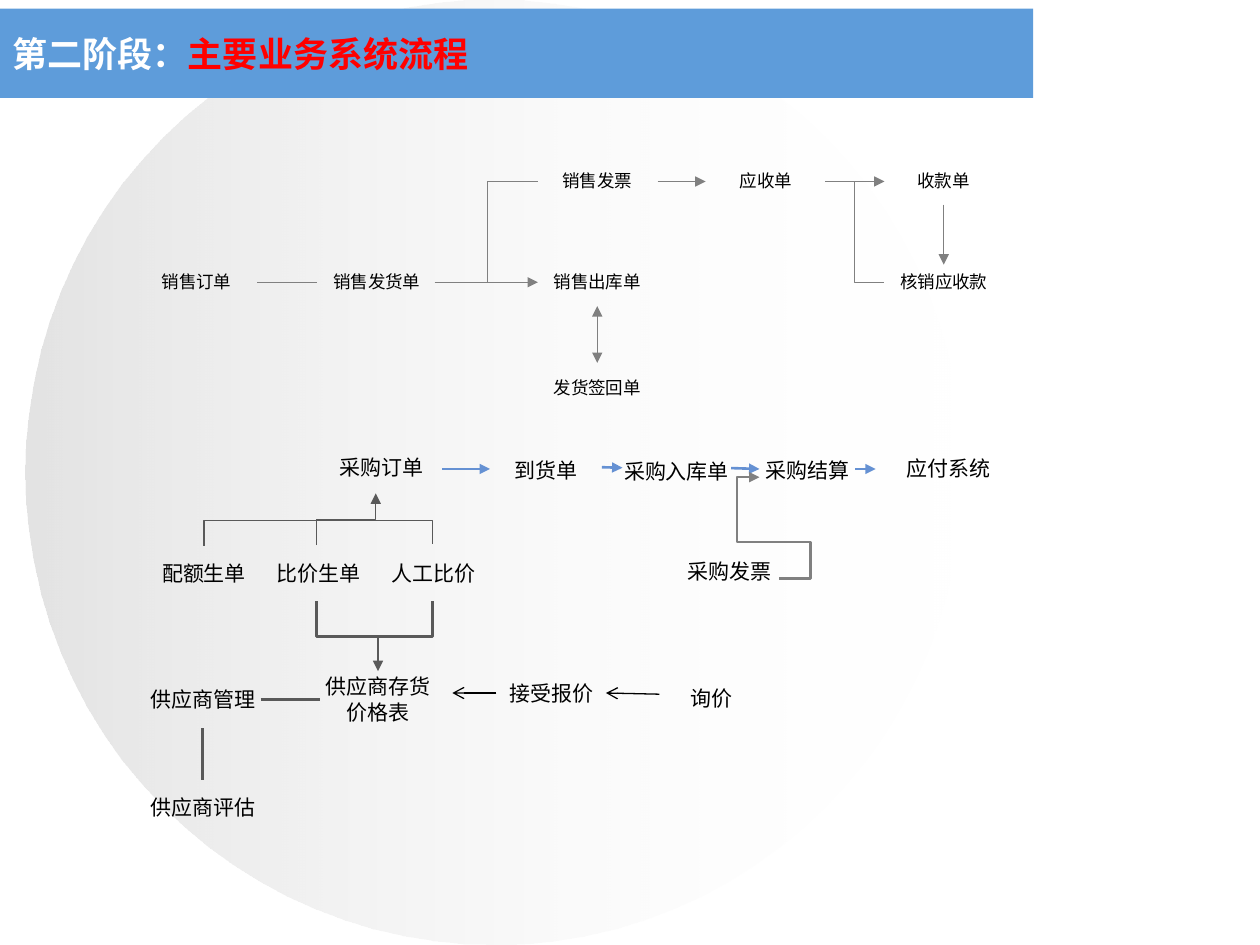
from lxml import etree
from pptx import Presentation
from pptx.dml.color import RGBColor
from pptx.enum.shapes import MSO_CONNECTOR, MSO_SHAPE
from pptx.enum.text import MSO_ANCHOR, MSO_AUTO_SIZE, PP_ALIGN
from pptx.oxml.ns import qn
from pptx.util import Pt

STRAIGHT, ELBOW = MSO_CONNECTOR.STRAIGHT, MSO_CONNECTOR.ELBOW
OVAL, RECTANGLE = MSO_SHAPE.OVAL, MSO_SHAPE.RECTANGLE
MIDDLE = MSO_ANCHOR.MIDDLE
LEFT, CENTER = PP_ALIGN.LEFT, PP_ALIGN.CENTER
FIT_SHAPE = MSO_AUTO_SIZE.SHAPE_TO_FIT_TEXT

FONT = "Noto Sans CJK SC"
WHITE = RGBColor(0xFF, 0xFF, 0xFF)
BLACK = RGBColor(0, 0, 0)
RED = RGBColor(0xFF, 0, 0)
SILVER = RGBColor(0xC0, 0xC0, 0xC0)
BAND_BLUE = RGBColor(0x5E, 0x9C, 0xDA)
ARROW_BLUE = RGBColor(0x65, 0x91, 0xD3)
GRAY = RGBColor(0x80, 0x80, 0x80)
DARK_GRAY = RGBColor(0x59, 0x59, 0x59)

TITLE_RUNS = [("第二阶段：", WHITE), ("主要业务系统流程", RED)]

# Labels: text, centre x, centre y
SALES_LABELS = [
    ("销售订单", 112.3, 161), ("销售发货单", 215.3, 161),
    ("销售发票", 341.3, 103.3), ("销售出库单", 341.3, 161),
    ("应收单", 437.8, 103.3), ("收款单", 539.3, 103.3),
    ("核销应收款", 539.3, 161), ("发货签回单", 341.3, 221.4),
]
PURCHASE_LABELS = [
    ("采购订单", 218.2, 267.1), ("到货单", 312.1, 268.6),
    ("采购入库单", 386.6, 269.3), ("采购结算", 461.5, 268.6),
    ("应付系统", 542.2, 267.8), ("采购发票", 416.9, 326.2),
    ("配额生单", 116.6, 327.6), ("比价生单", 182.2, 327.6),
    ("人工比价", 247.7, 327.6), ("供应商管理", 115.9, 399.6),
    ("供应商评估", 115.9, 461.5), ("供应商存货\n价格表", 216, 399.6),
    ("接受报价", 315.4, 396), ("询价", 406.8, 398.9),
]

# Lines: start, end, colour, width, {end: arrowhead}
TO_END = {"tailEnd": "triangle"}
BOTH_ENDS = {"headEnd": "triangle", "tailEnd": "triangle"}
OPEN_ARROW = {"tailEnd": "arrow"}
LINES = [
    ((146.9, 161.3), (181.4, 161.3), GRAY, 0.75, {}),
    ((341.3, 175), (341.3, 207.4), GRAY, 0.75, BOTH_ENDS),
    ((248.4, 161.3), (307.4, 161.3), GRAY, 0.75, TO_END),
    ((375.8, 103.7), (403.2, 103.7), GRAY, 0.75, TO_END),
    ((471.6, 103.7), (505.4, 103.7), GRAY, 0.75, TO_END),
    ((539.3, 116.9), (539.3, 151.2), GRAY, 0.75, TO_END),
    ((252.7, 268), (280, 268), ARROW_BLUE, 1.5, TO_END),
    ((344, 267), (355.7, 267.3), ARROW_BLUE, 1.5, TO_END),
    ((417.8, 267.5), (434, 268), ARROW_BLUE, 1.5, TO_END),
    ((488.7, 268), (500.4, 268), ARROW_BLUE, 1.5, TO_END),
    ((149, 399.6), (182.9, 399.6), DARK_GRAY, 1.5, {}),
    ((115.9, 445.7), (115.9, 416.2), DARK_GRAY, 1.5, {}),
    ((376.8, 396.7), (346.3, 396), BLACK, 0.75, OPEN_ARROW),
    ((283.7, 396), (258.5, 396), BLACK, 0.75, OPEN_ARROW),
]

# Elbows: as lines, then preset, vertical start, bends as shares of the span
ELBOWS = [
    ((249.8, 161.3), (307.4, 103.7), GRAY, 0.75, {}, 3, False, [0.5]),
    ((471.6, 103.7), (505.4, 161.3), GRAY, 0.75, {}, 3, False, [0.5]),
    ((180.7, 311.5), (214.7, 282), DARK_GRAY, 0.75, TO_END, 3, True, [0.5]),
    ((180.7, 343.7), (216, 383.5), DARK_GRAY, 1.5, TO_END, 3, True, [0.5]),
    ((247, 343.7), (216, 363.6), DARK_GRAY, 1.5, {}, 2, True, []),
    ((116.6, 312), (247, 311), DARK_GRAY, 0.75, {}, 3, True, [14.67]),
    ((445.2, 330.5), (434, 272.7), GRAY, 1.5, TO_END, 5, False,
     [-1.6, 0.36, 2.14]),
]


def add_run(paragraph, text, size, color, bold=False):
    run = paragraph.add_run()
    run.text = text
    run.font.name = FONT
    run.font.size = Pt(size)
    run.font.bold = bold
    run.font.color.rgb = color
    etree.SubElement(run.font._element, qn("a:ea"), typeface=FONT)


def add_background(slide):
    circle = slide.shapes.add_shape(OVAL, Pt(14.4), 0, Pt(535.7), Pt(540))
    circle.fill.gradient()
    circle.fill.gradient_angle = 0
    for stop, color, alpha in zip(circle.fill.gradient_stops, (SILVER, WHITE), (44, 0)):
        stop.color.rgb = color
        color_element = stop._gs.find(qn("a:srgbClr"))
        etree.SubElement(color_element, qn("a:alpha"), val=str(alpha * 1000))
    band = slide.shapes.add_shape(RECTANGLE, 0, Pt(5), Pt(590.4), Pt(51))
    band.fill.solid()
    band.fill.fore_color.rgb = BAND_BLUE
    for shape in (circle, band):
        shape.shadow.inherit = False
        shape.line.fill.background()


def add_title(slide):
    title = slide.shapes.title
    slide.shapes._spTree.append(title._element)
    title.left, title.top, title.width, title.height = 0, Pt(11.5), Pt(590.4), Pt(38.2)
    title.text_frame.vertical_anchor = MIDDLE
    paragraph = title.text_frame.paragraphs[0]
    paragraph.alignment = LEFT
    for text, color in TITLE_RUNS:
        add_run(paragraph, text, 20, color, bold=True)


def add_label(slide, text, center_x, center_y, size):
    rows = text.split("\n")
    width = max(map(len, rows)) * size + 14.4
    height = len(rows) * size * 1.2 + 7.2
    box = slide.shapes.add_textbox(
        Pt(center_x - width / 2), Pt(center_y - height / 2), Pt(width), Pt(height))
    frame = box.text_frame
    frame.word_wrap = False
    frame.auto_size = FIT_SHAPE
    paragraph = frame.paragraphs[0]
    paragraph.alignment = CENTER
    for index, row in enumerate(rows):
        if index:
            paragraph.add_line_break()
        add_run(paragraph, row, size, BLACK)


def add_line(slide, start, end, color, width, arrows, kind=STRAIGHT):
    connector = slide.shapes.add_connector(kind, *map(Pt, start + end))
    connector.line.color.rgb = color
    connector.line.width = Pt(width)
    line = connector.line._get_or_add_ln()
    for tag, arrow in arrows.items():
        etree.SubElement(line, qn("a:" + tag), type=arrow)
    etree.SubElement(connector._element.spPr, qn("a:effectLst"))
    return connector


def add_elbow(slide, start, end, color, width, arrows, preset, vertical, bends):
    if vertical:
        center_x, center_y = (start[0] + end[0]) / 2, (start[1] + end[1]) / 2
        half_x, half_y = (end[0] - start[0]) / 2, (end[1] - start[1]) / 2
        start = (center_x - half_y, center_y + half_x)
        end = (center_x + half_y, center_y - half_x)
    connector = add_line(slide, start, end, color, width, arrows, ELBOW)
    properties = connector._element.spPr
    if vertical:
        properties.find(qn("a:xfrm")).set("rot", "5400000")
    geometry = properties.find(qn("a:prstGeom"))
    geometry.set("prst", f"bentConnector{preset}")
    adjustments = geometry.find(qn("a:avLst"))
    for number, bend in enumerate(bends, 1):
        etree.SubElement(adjustments, qn("a:gd"), name=f"adj{number}" if preset > 2 else "adj",
                         fmla=f"val {round(bend * 100000)}")


def main():
    presentation = Presentation()
    presentation.slide_width, presentation.slide_height = Pt(720), Pt(540)
    slide = presentation.slides.add_slide(presentation.slide_layouts[5])
    add_background(slide)
    add_title(slide)
    for line in LINES:
        add_line(slide, *line)
    for elbow in ELBOWS:
        add_elbow(slide, *elbow)
    for labels, size in ((SALES_LABELS, 10), (PURCHASE_LABELS, 12)):
        for label in labels:
            add_label(slide, *label, size)
    presentation.save("out.pptx")


if __name__ == "__main__":
    main()
